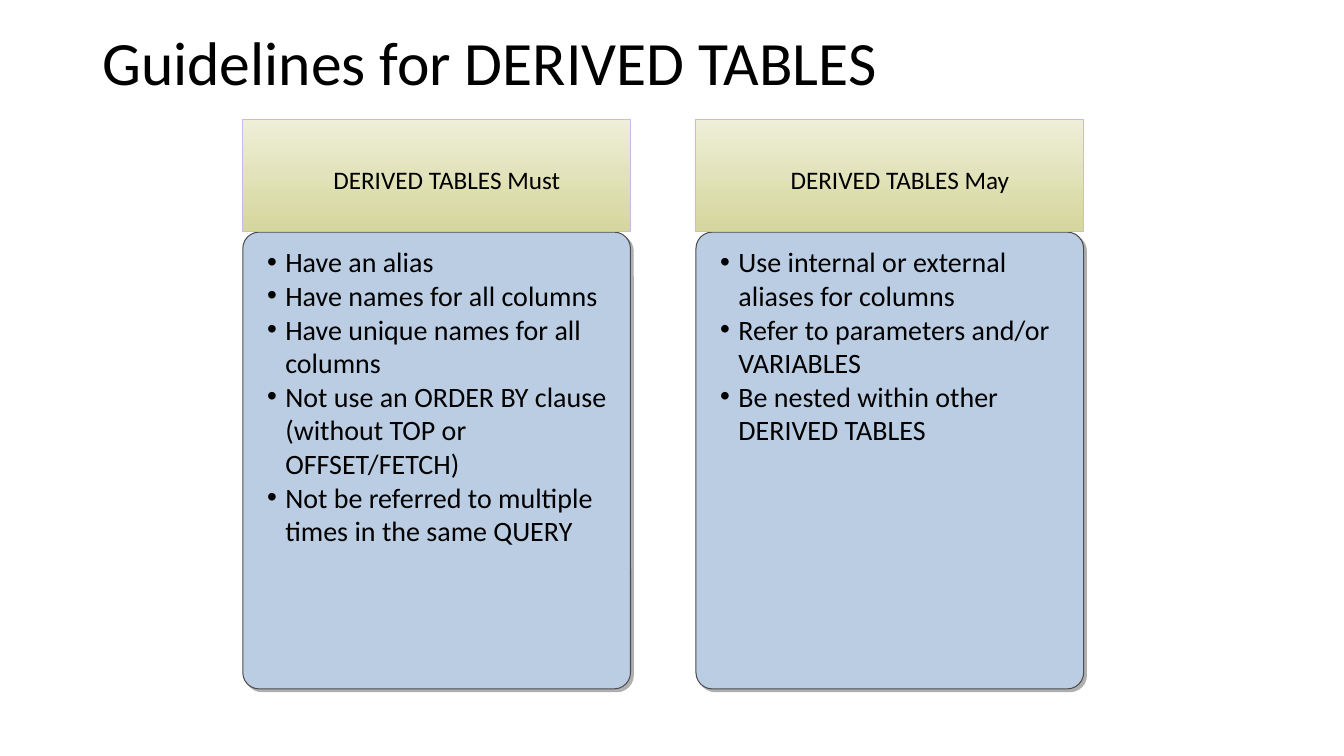
from dataclasses import dataclass

from lxml.etree import SubElement
from pptx import Presentation
from pptx.dml.color import RGBColor
from pptx.enum.shapes import MSO_SHAPE as Shape
from pptx.enum.text import MSO_ANCHOR as Anchor, PP_ALIGN as Align
from pptx.oxml.ns import qn
from pptx.util import Cm, Pt


@dataclass(frozen=True)
class Theme:
    font: str = "Calibri"
    text: str = "000000"
    panel: str = "BBCDE3"
    panel_line: str = "4D4D4D"
    shadow: str = "AFAFAF"
    header_top: str = "EEEFD7"
    header_bottom: str = "D5D69C"
    header_line: str = "CCB8E4"
    title_size: int = 44
    header_size: int = 18
    bullet_size: int = 20
    line_width: float = 0.75


THEME = Theme()

TITLE = "Guidelines for DERIVED TABLES"
COLUMNS = [
    ("DERIVED TABLES Must", [
        "Have an alias",
        "Have names for all columns",
        "Have unique names for all columns",
        "Not use an ORDER BY clause (without TOP or OFFSET/FETCH)",
        "Not be referred to multiple times in the same QUERY",
    ]),
    ("DERIVED TABLES May", [
        "Use internal or external aliases for columns",
        "Refer to parameters and/or VARIABLES",
        "Be nested within other DERIVED TABLES",
    ]),
]


def color(value):
    return RGBColor.from_string(value)


def add_span(para, text, size):
    span = para.add_run()
    span.text = text
    span.font.name = THEME.font
    span.font.size = Pt(size)
    span.font.color.rgb = color(THEME.text)


def set_frame(box, anchor, insets):
    frame = box.text_frame
    frame.word_wrap = True
    frame.vertical_anchor = anchor
    (frame.margin_left, frame.margin_top,
     frame.margin_right, frame.margin_bottom) = [Cm(inset) for inset in insets]
    return frame


def set_line(shape, value):
    shape.line.color.rgb = color(value)
    shape.line.width = Pt(THEME.line_width)


def add_bullet(para):
    properties = para._p.get_or_add_pPr()
    indent = Cm(0.46)
    properties.set("marL", str(indent))
    properties.set("indent", str(-indent))
    SubElement(properties, qn("a:buFont"), typeface="Arial")
    SubElement(properties, qn("a:buChar"), char="•")


def add_hard_shadow(shape):
    shape.shadow.inherit = False
    effects = shape._element.spPr.find(qn("a:effectLst"))
    shadow = SubElement(effects, qn("a:outerShdw"), blurRad="0",
                        dist=str(Pt(2.8)), dir="2700000", algn="ctr", rotWithShape="0")
    SubElement(shadow, qn("a:srgbClr"), val=THEME.shadow)


def add_title(page, left, top, width, height):
    box = page.shapes.add_textbox(Cm(left), Cm(top), Cm(width), Cm(height))
    frame = set_frame(box, Anchor.MIDDLE, (0.25, 0.13, 0.25, 0.13))
    para = frame.paragraphs[0]
    para.line_spacing = 0.9
    add_span(para, TITLE, THEME.title_size)


def add_column(page, heading, bullets, left, top, width, height):
    group = page.shapes.add_group_shape()
    header_height = 2.82
    panel_top = top + header_height + 0.01
    panel_height = top + height - panel_top

    # Rounded panel
    panel = group.shapes.add_shape(Shape.ROUNDED_RECTANGLE, Cm(left), Cm(panel_top),
                                   Cm(width), Cm(panel_height))
    panel.adjustments[0] = 0.042
    panel.fill.solid()
    panel.fill.fore_color.rgb = color(THEME.panel)
    set_line(panel, THEME.panel_line)
    add_hard_shadow(panel)

    # Gradient header
    header = group.shapes.add_shape(Shape.RECTANGLE, Cm(left), Cm(top),
                                    Cm(width), Cm(header_height))
    header.shadow.inherit = False
    header.fill.gradient()
    header.fill.gradient_angle = 270
    for stop, value in zip(header.fill.gradient_stops,
                           (THEME.header_top, THEME.header_bottom)):
        stop.color.rgb = color(value)
    set_line(header, THEME.header_line)
    frame = set_frame(header, Anchor.MIDDLE, (0.76, 0.3, 0.25, 0.13))
    frame.paragraphs[0].alignment = Align.CENTER
    add_span(frame.paragraphs[0], heading, THEME.header_size)

    # Bullet list
    body = group.shapes.add_textbox(Cm(left + 0.61), Cm(panel_top + 0.32),
                                    Cm(width - 1.08), Cm(panel_height - 0.95))
    frame = set_frame(body, Anchor.TOP, (0, 0, 0, 0))
    for index, bullet in enumerate(bullets):
        para = frame.add_paragraph() if index else frame.paragraphs[0]
        add_bullet(para)
        add_span(para, bullet, THEME.bullet_size)


def add_guidelines(page, left, top, width, height):
    gap = 1.65
    column_width = (width - gap * (len(COLUMNS) - 1)) / len(COLUMNS)
    for index, (heading, bullets) in enumerate(COLUMNS):
        column_left = left + index * (column_width + gap)
        add_column(page, heading, bullets, column_left, top, column_width, height)


def main():
    deck = Presentation()
    deck.slide_width, deck.slide_height = Cm(33.87), Cm(19.05)
    page = deck.slides.add_slide(deck.slide_layouts[6])
    add_title(page, 2.33, 0.43, 29.21, 2.44)
    add_guidelines(page, 6.12, 3.02, 21.19, 14.34)
    deck.save("out.pptx")


if __name__ == "__main__":
    main()
